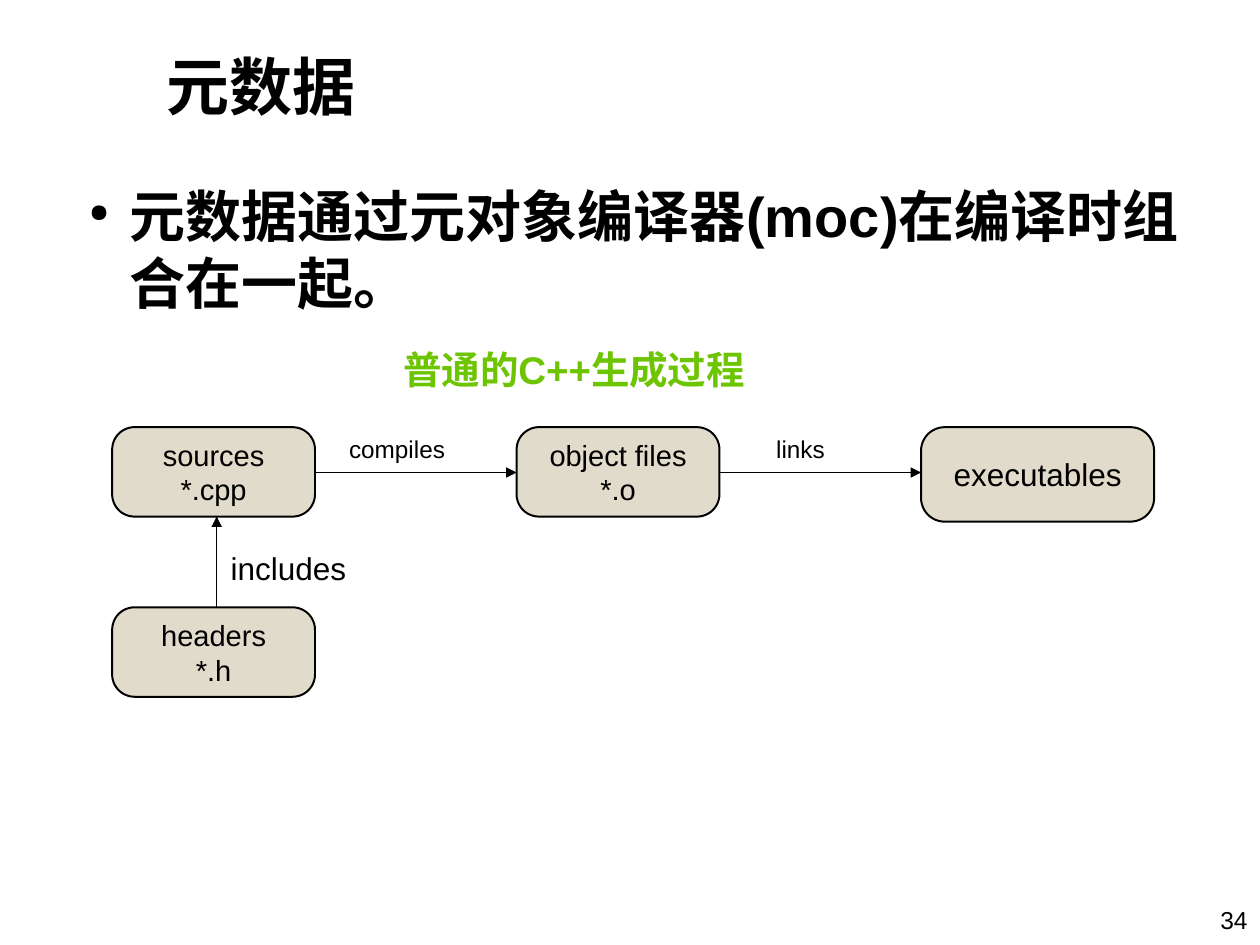
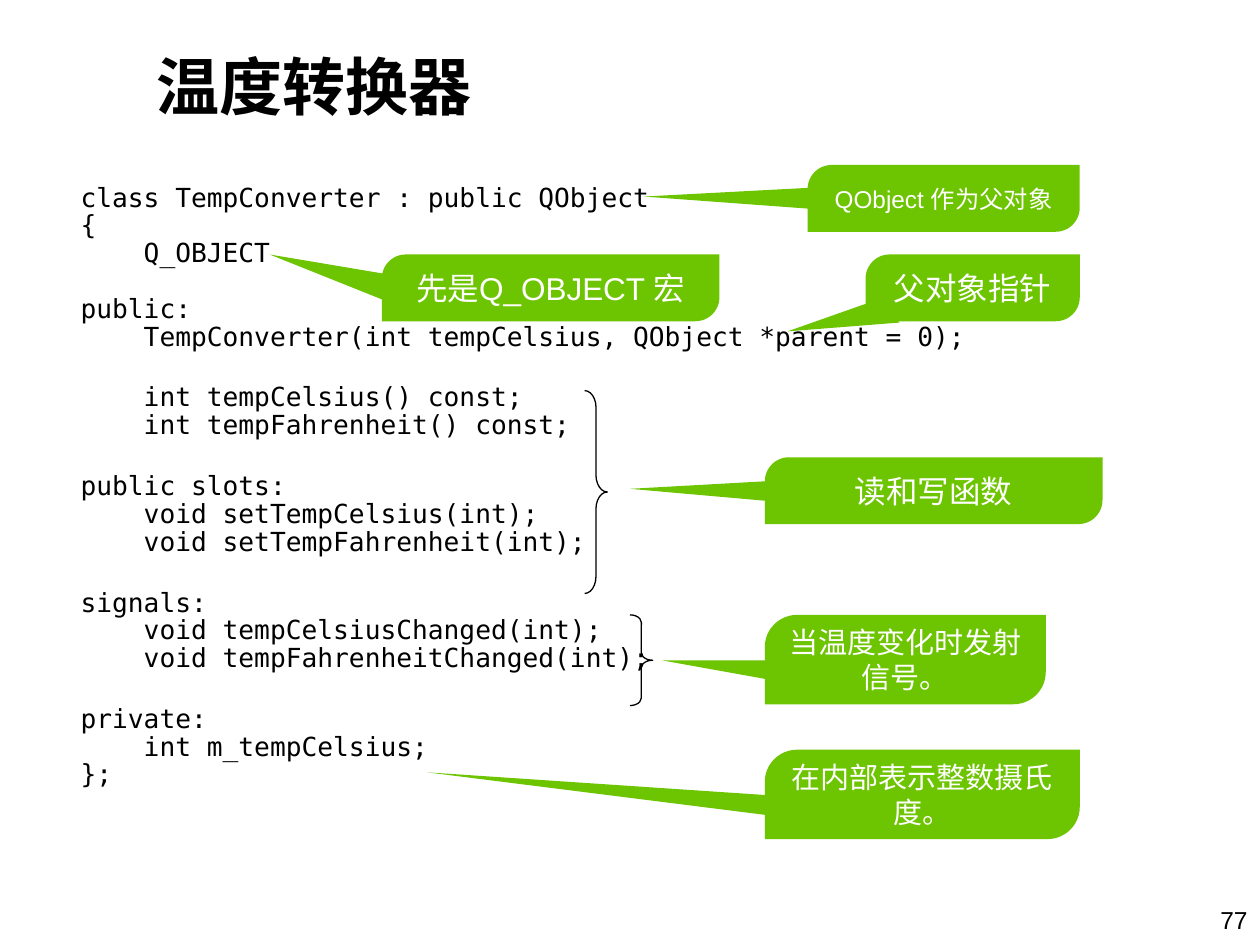
from dataclasses import dataclass

from lxml.etree import SubElement
from pptx import Presentation
from pptx.dml.color import RGBColor as Rgb
from pptx.enum.shapes import MSO_CONNECTOR as Link, MSO_SHAPE as Kind
from pptx.enum.text import MSO_ANCHOR as Anchor, PP_ALIGN as Align
from pptx.oxml.ns import qn
from pptx.util import Inches, Pt


@dataclass(frozen=True)
class Theme:
    black: Rgb = Rgb(0, 0, 0)
    white: Rgb = Rgb(255, 255, 255)
    green: Rgb = Rgb(0x6D, 0xC4, 0x00)
    sand: Rgb = Rgb(0xE0, 0xDB, 0xCA)
    sans: str = "Arial"
    mono: str = "DejaVu Sans Mono"
    title: float = 36
    body: float = 32
    head: float = 22
    large: float = 18
    mid: float = 16.6
    code: float = 15
    page: float = 14
    small: float = 13.9
    edge: float = 1.13
    thin: float = 0.75


THEME = Theme()

CODE = """class TempConverter : public QObject
{
    Q_OBJECT

public:
    TempConverter(int tempCelsius, QObject *parent = 0);

    int tempCelsius() const;
    int tempFahrenheit() const;

public slots:
    void setTempCelsius(int);
    void setTempFahrenheit(int);

signals:
    void tempCelsiusChanged(int);
    void tempFahrenheitChanged(int);

private:
    int m_tempCelsius;
};"""


def apply(item, vals):
    for name, val in vals.items():
        setattr(item, name, val)


def inch(box):
    return [Inches(val) for val in box]


def write(shape, lines, size, pad=(0.1, 0.05), anchor=Anchor.TOP,
          align=Align.LEFT, color=THEME.black, face=THEME.sans, bold=False):
    """Fill a shape with lines; pad holds the side and top/bottom insets."""
    frame = shape.text_frame
    side, end = inch(pad)
    apply(frame, dict(word_wrap=True, vertical_anchor=anchor, margin_left=side,
                      margin_right=side, margin_top=end, margin_bottom=end))
    for num, line in enumerate(lines):
        para = frame.add_paragraph() if num else frame.paragraphs[0]
        para.alignment = align
        run = para.add_run()
        run.text = line
        apply(run.font, dict(size=Pt(size), name=face, bold=bold))
        run.font.color.rgb = color
    return frame


def label(slide, box, text, size, **form):
    return write(slide.shapes.add_textbox(*inch(box)), [text], size, **form)


def paint(shape, fill=None, edge=None):
    shape.shadow.inherit = False
    if fill is None:
        shape.fill.background()
    else:
        shape.fill.solid()
        shape.fill.fore_color.rgb = fill
    if edge is None:
        shape.line.fill.background()
    else:
        shape.line.color.rgb = THEME.black
        shape.line.width = Pt(edge)


def start(deck, title, left, page):
    slide = deck.slides.add_slide(deck.slide_layouts[6])
    label(slide, (left, 0.05, 6.5, 1.25), title, THEME.title,
          anchor=Anchor.MIDDLE, bold=True)
    label(slide, (8.39, 7.13, 1.61, 0.37), page, THEME.page, align=Align.RIGHT)
    return slide


def point(slide, box, text):
    """Add one bulleted paragraph with a hanging indent."""
    frame = label(slide, box, text, THEME.body, bold=True)
    props = frame.paragraphs[0]._p.get_or_add_pPr()
    props.set("marL", str(Inches(0.43)))
    props.set("indent", str(Inches(-0.32)))
    SubElement(props, qn("a:buSzPct"), val="45000")
    SubElement(props, qn("a:buChar"), char="●")


def node(slide, box, lines, size):
    shape = slide.shapes.add_shape(Kind.ROUNDED_RECTANGLE, *inch(box))
    shape.adjustments[0] = 0.25
    paint(shape, THEME.sand, THEME.edge)
    write(shape, lines, size, (0.1, 0.06), Anchor.MIDDLE, Align.CENTER)


def arrow(slide, tail, head):
    line = slide.shapes.add_connector(Link.STRAIGHT, *inch(tail + head))
    line.line.color.rgb = THEME.black
    line.line.width = Pt(THEME.thin)
    SubElement(line.line._get_or_add_ln(), qn("a:tailEnd"), type="triangle")
    SubElement(line._element.spPr, qn("a:effectLst"))


def flow(slide, left, top):
    """Draw the build steps from the top left corner of the first node."""
    wide, high, step, drop = 1.61, 0.71, 3.21, 1.43
    nodes = [
        (0, 0, wide, high, ["sources", "*.cpp"], THEME.mid),
        (step, 0, wide, high, ["object files", "*.o"], THEME.mid),
        (2 * step, 0, 1.85, 0.75, ["executables"], THEME.large),
        (0, drop, wide, high, ["headers", "*.h"], THEME.mid),
    ]
    for x, y, w, h, lines, size in nodes:
        node(slide, (left + x, top + y, w, h), lines, size)
    mid = top + 0.36
    for col in range(2):
        x = left + col * step
        arrow(slide, (x + wide, mid), (x + step, mid))
    stem = left + 0.83
    arrow(slide, (stem, top + drop), (stem, top + high))
    for x, y, w, text, size in [(1.79, 0, 1.25, "compiles", THEME.small),
                                (5.18, 0, 1.07, "links", THEME.small),
                                (0.85, 0.91, 1.3, "includes", THEME.large)]:
        label(slide, (left + x, top + y, w, 0.34), text, size, pad=(0.09, 0.06))


def listing(slide, box):
    """Set the code, with each empty line turned into space before the next."""
    lines = CODE.split("\n")
    frame = write(slide.shapes.add_textbox(*inch(box)), filter(None, lines),
                  THEME.code, (0.09, 0.05), face=THEME.mono)
    after = [not prev for prev, line in zip([" "] + lines, lines) if line]
    gaps = iter([15.9, 19, 19, 19, 19])
    for para, gap in zip(frame.paragraphs, after):
        para.line_spacing = 0.88
        if gap:
            para.space_before = Pt(next(gaps))


def brace(slide, left, top, high, wide=0.18):
    shape = slide.shapes.add_shape(Kind.RIGHT_BRACE,
                                   *inch((left, top, wide, high)))
    shape.adjustments[0] = high / 12 / wide
    paint(shape, edge=THEME.thin)


def bubble(slide, box, text, size, tip, base):
    """Draw a callout; base is two x offsets and the first y offset of its tail."""
    left, top = box[:2]
    near, far, drop = base
    ends = [(left + near, top + drop), (left + far, top + drop + 0.18)]
    form = slide.shapes.build_freeform(*inch(tip), scale=1.0)
    form.add_line_segments([inch(end) for end in ends], close=True)
    paint(form.convert_to_shape(), THEME.green)
    body = slide.shapes.add_shape(Kind.ROUND_2_DIAG_RECTANGLE, *inch(box))
    body.adjustments[0] = 0.36
    paint(body, THEME.green)
    write(body, [text], size, (0.07, 0.06), Anchor.MIDDLE, Align.CENTER,
          THEME.white)


def meta(deck):
    slide = start(deck, "元数据", 1.22, "34")
    point(slide, (0.5, 1.39, 9, 1.3),
          "元数据通过元对象编译器(moc)在编译时组合在一起。")
    label(slide, (3.11, 2.69, 4.19, 0.43), "普通的C++生成过程", THEME.head,
          pad=(0.09, 0.06), color=THEME.green, bold=True)
    flow(slide, 0.89, 3.39)


def temp(deck):
    slide = start(deck, "温度转换器", 1.14, "77")
    listing(slide, (0.55, 1.42, 8.73, 5.1))
    brace(slide, 5, 4.88, 0.72)
    brace(slide, 4.64, 3.1, 1.61)
    low, high = 0.53, 0.71
    notes = [
        ((3.03, 2.02, 2.68, low), "先是Q_OBJECT 宏", THEME.large,
         (2.14, 2.02), (0.18, 0.01, 0.18)),
        ((6.41, 1.31, 2.16, low), "QObject 作为父对象", THEME.small,
         (5.11, 1.56), (0.02, 0.2, 0.18)),
        ((6.87, 2.02, 1.7, low), "父对象指针", THEME.large,
         (6.25, 2.63), (0.09, 0.27, 0.36)),
        ((6.07, 3.63, 2.68, low), "读和写函数", THEME.large,
         (5, 3.88), (0.18, 0.18, 0.18)),
        ((6.07, 4.88, 2.23, high), "当温度变化时发射信号。", THEME.mid,
         (5.25, 5.24), (0, 0.18, 0.36)),
        ((6.07, 5.95, 2.5, high), "在内部表示整数摄氏度。", THEME.mid,
         (3.39, 6.13), (0, 0.18, 0.36)),
    ]
    for note in notes:
        bubble(slide, *note)


def main():
    deck = Presentation()
    apply(deck, dict(slide_width=Inches(10), slide_height=Inches(7.5)))
    meta(deck)
    temp(deck)
    deck.save("out.pptx")


if __name__ == "__main__":
    main()
